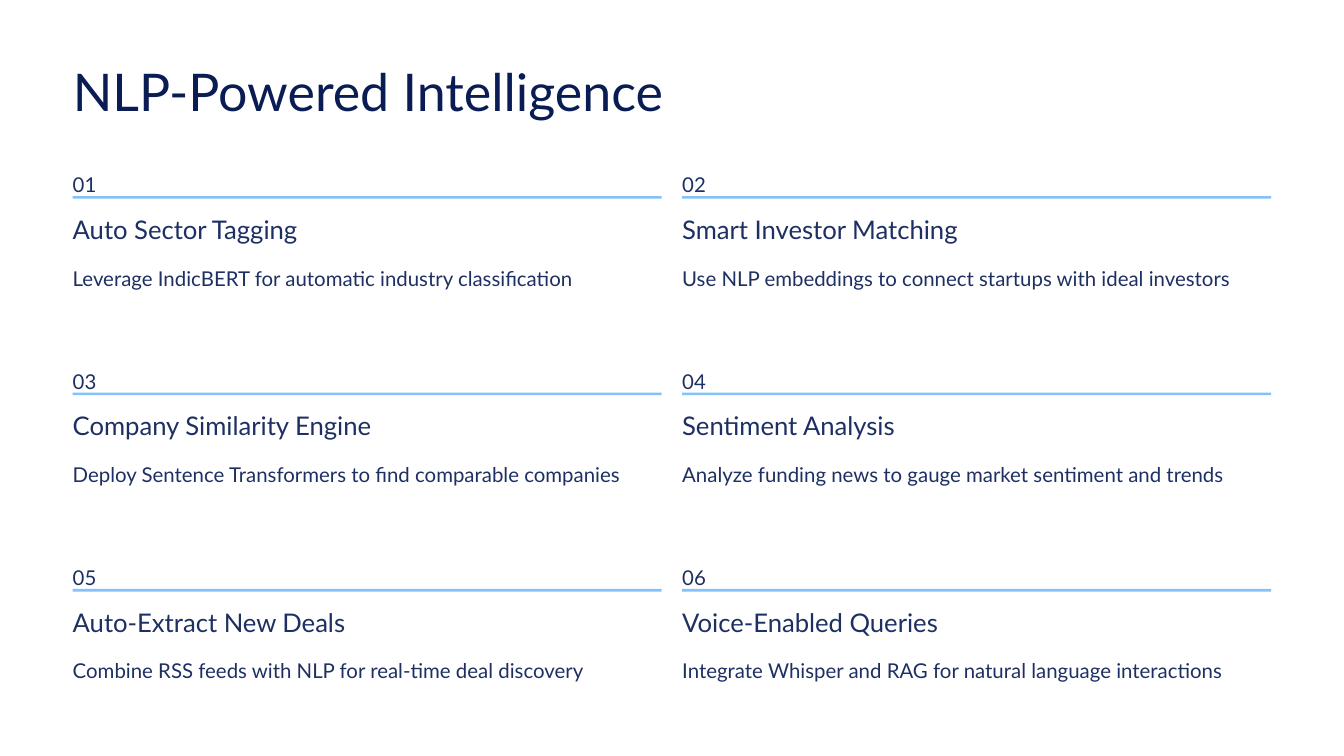
from pptx import Presentation
from pptx.dml.color import RGBColor
from pptx.enum.shapes import MSO_SHAPE
from pptx.enum.text import MSO_ANCHOR, MSO_AUTO_SIZE, PP_ALIGN
from pptx.util import Cm, Pt

NAVY = RGBColor(0x09, 0x1C, 0x53)
INK = RGBColor(0x1E, 0x30, 0x63)
SKY = RGBColor(0x84, 0xC1, 0xFA)
FONT = "Lato"

LEFT, TOP = 2.2, 4.95
COLUMN_WIDTH, COLUMN_PITCH, ROW_PITCH = 17.81, 18.43, 5.94
COLUMNS = 2

FEATURES = [
    ("Auto Sector Tagging", "Leverage IndicBERT for automatic industry classification"),
    ("Smart Investor Matching", "Use NLP embeddings to connect startups with ideal investors"),
    ("Company Similarity Engine", "Deploy Sentence Transformers to find comparable companies"),
    ("Sentiment Analysis", "Analyze funding news to gauge market sentiment and trends"),
    ("Auto-Extract New Deals", "Combine RSS feeds with NLP for real-time deal discovery"),
    ("Voice-Enabled Queries", "Integrate Whisper and RAG for natural language interactions"),
]


def set_text(shape, text, size, line_spacing, color, wrap=True):
    frame = shape.text_frame
    frame.margin_left = frame.margin_right = frame.margin_top = frame.margin_bottom = 0
    frame.vertical_anchor = MSO_ANCHOR.TOP
    frame.auto_size = MSO_AUTO_SIZE.NONE
    frame.word_wrap = wrap
    frame.text = text
    paragraph = frame.paragraphs[0]
    paragraph.alignment = PP_ALIGN.LEFT
    paragraph.line_spacing = Pt(line_spacing)
    paragraph.space_before = Pt(0)
    paragraph.font.name = FONT
    paragraph.font.size = Pt(size)
    paragraph.font.color.rgb = color


def add_title(slide, text):
    title = slide.shapes.title
    title.left, title.top, title.width, title.height = Cm(LEFT), Cm(1.73), Cm(19.28), Cm(1.96)
    set_text(title, text, 44.5, 55.5, NAVY, wrap=False)


def add_label(slide, text, left, top, width, height, size, line_spacing, wrap=True):
    box = slide.shapes.add_textbox(Cm(left), Cm(top), Cm(width), Cm(height))
    set_text(box, text, size, line_spacing, INK, wrap)


def add_rule(slide, left, top):
    rule = slide.shapes.add_shape(
        MSO_SHAPE.RECTANGLE, Cm(left), Cm(top), Cm(COLUMN_WIDTH), Cm(0.08))
    rule.shadow.inherit = False
    rule.fill.solid()
    rule.fill.fore_color.rgb = SKY
    rule.line.fill.background()


def add_feature(slide, index, heading, description):
    row, column = divmod(index, COLUMNS)
    left = LEFT + column * COLUMN_PITCH
    top = TOP + row * ROW_PITCH
    add_label(slide, f"{index + 1:02}", left, top, 0.64, 0.79, 17.5, 28.5, wrap=False)
    add_rule(slide, left, top + 0.98)
    add_label(slide, heading, left, top + 1.47, 10.03, 0.99, 22, 27.5)
    add_label(slide, description, left, top + 2.82, COLUMN_WIDTH, 1.02, 17.5, 28.5)


def main():
    presentation = Presentation()
    presentation.slide_width = Cm(40.64)
    presentation.slide_height = Cm(22.86)
    slide = presentation.slides.add_slide(presentation.slide_layouts.get_by_name("Title Only"))
    add_title(slide, "NLP-Powered Intelligence")
    for index, (heading, description) in enumerate(FEATURES):
        add_feature(slide, index, heading, description)
    presentation.save("out.pptx")


if __name__ == "__main__":
    main()
